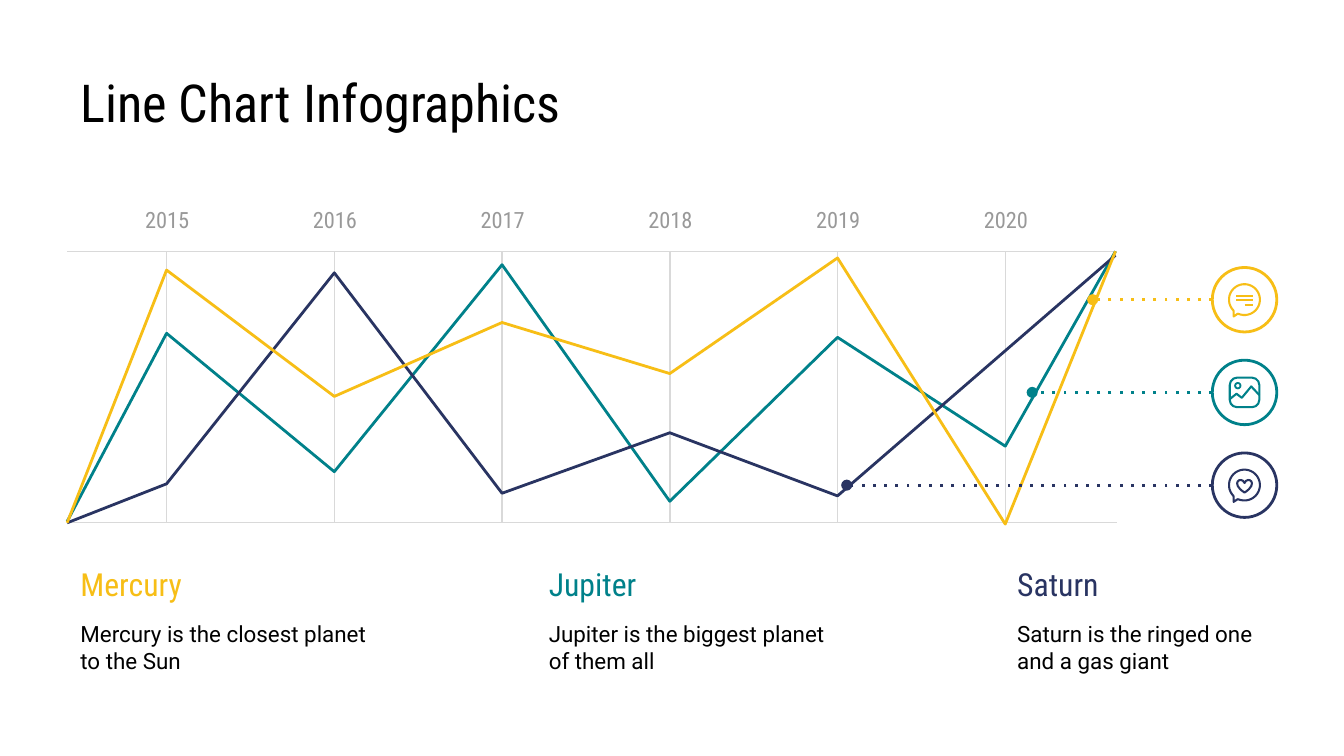
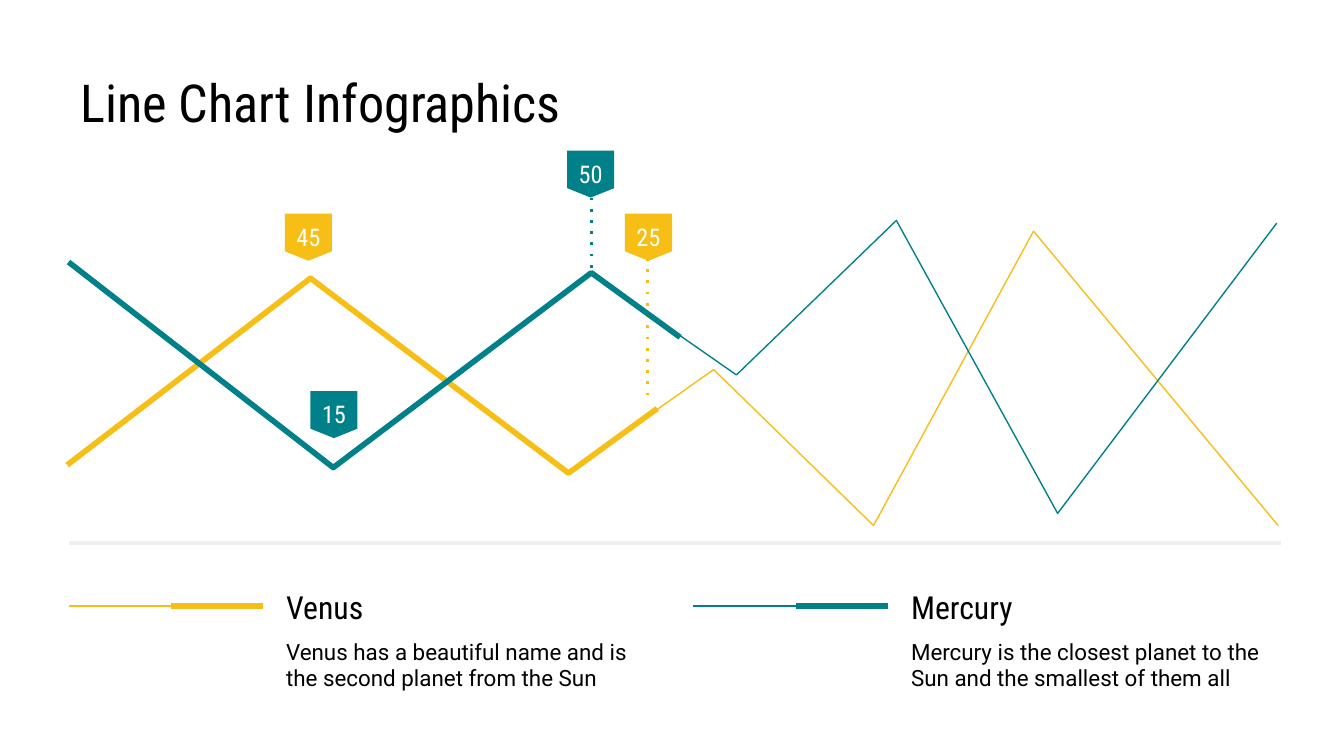
from collections import namedtuple
from math import cos, radians, sin

from lxml.etree import SubElement
from pptx import Presentation
from pptx.dml.color import RGBColor
from pptx.enum.shapes import MSO_CONNECTOR as Link, MSO_SHAPE as Shape
from pptx.enum.text import MSO_ANCHOR as Anchor, PP_ALIGN as Align
from pptx.oxml.ns import qn
from pptx.util import Emu, Inches, Pt

COLUMNS, ROWS = 100, 56.25
CELL = Inches(0.1)
COLORS = {
    "yellow": "F7BE16", "teal": "00818A", "navy": "293462", "black": "000000",
    "white": "FFFFFF", "label": "999999", "grid": "D9D9D9", "base": "EFEFEF",
}
HEADING, BODY = "Roboto Condensed", "Roboto"
TITLE = "Line Chart Infographics"

Box = namedtuple("Box", "left top width height")

YEARS = ("2015", "2016", "2017", "2018", "2019", "2020")
FIRST_YEAR, YEAR_STEP = 7.4, 12.48
LEVELS = {
    "teal": (20.1, 6.1, 16.4, 1, 18.6, 6.4, 14.5, 0),
    "navy": (20.2, 17.3, 1.6, 18, 13.5, 18.2, 7.4, 0.3),
    "yellow": (20.2, 1.4, 10.8, 5.3, 9.1, 0.5, 20.3, 0),
}
CALLOUTS = (("yellow", "chat", 81.3), ("teal", "photo", 76.8), ("navy", "love", 63))
PLANETS = (
    ("Mercury", "Mercury is the closest planet to the Sun", "yellow", 24),
    ("Jupiter", "Jupiter is the biggest planet of them all", "teal", 24),
    ("Saturn", "Saturn is the ringed one and a gas giant", "navy", 20.3),
)
TRENDS = (
    {
        "color": "yellow",
        "thin": ((0, 18.1), (18.1, 4.2), (37.2, 18.8), (48.1, 11.1),
                 (60, 22.7), (71.9, 0.8), (90.1, 22.7)),
        "bold": ((0, 18.2), (18.1, 4.3), (37.3, 18.8), (43.9, 14)),
        "badges": (("45", 16.2, -0.5), ("25", 41.5, -0.5)),
        "drop": (43.2, 2.8, 13.3),
        "name": "Venus",
        "note": "Venus has a beautiful name and is the second planet from the Sun",
    },
    {
        "color": "teal",
        "thin": ((1.7, 4.5), (19.8, 18.5), (38.9, 3.9), (49.8, 11.5),
                 (61.7, 0), (73.7, 21.8), (90, 0.2)),
        "bold": ((0.1, 3.1), (19.8, 18.4), (39, 3.9), (45.6, 8.7)),
        "badges": (("15", 18.1, 12.7), ("50", 37.2, -5.2)),
        "drop": (39, -1.7, 3.9),
        "name": "Mercury",
        "note": "Mercury is the closest planet to the Sun and the smallest of them all",
    },
)


def cells(*values):
    return [Emu(round(value * CELL)) for value in values]


def rgb(color):
    return RGBColor.from_string(COLORS[color])


def add_text(page, box, words, size, color, font=HEADING, align=Align.LEFT, anchor=Anchor.MIDDLE):
    frame = page.shapes.add_textbox(*cells(*box)).text_frame
    frame.word_wrap = True
    frame.vertical_anchor = anchor
    frame.margin_left = frame.margin_right = frame.margin_top = frame.margin_bottom = CELL
    para = frame.paragraphs[0]
    para.alignment = align
    span = para.add_run()
    span.text = words
    span.font.name = font
    span.font.size = Pt(size)
    span.font.color.rgb = rgb(color)


def add_line(page, start, end, color, width, dotted=False, dot_end=False):
    line = page.shapes.add_connector(Link.STRAIGHT, *cells(*start, *end))
    line.line.color.rgb = rgb(color)
    line.line.width = Pt(width)
    stroke = line.line._get_or_add_ln()
    if dotted:
        SubElement(stroke, qn("a:prstDash"), val="dot")
    if dot_end:
        SubElement(stroke, qn("a:tailEnd"), type="oval")
    SubElement(line._element.spPr, qn("a:effectLst"))


def style_outline(shape, color, width):
    shape.shadow.inherit = False
    shape.fill.background()
    shape.line.color.rgb = rgb(color)
    shape.line.width = Pt(width)


def add_outline(page, kind, box, color, width):
    shape = page.shapes.add_shape(kind, *cells(*box))
    style_outline(shape, color, width)
    return shape


def add_path(page, origin, points, color, width, close=False):
    spots = [cells(origin[0] + x, origin[1] + y) for x, y in points]
    builder = page.shapes.build_freeform(*spots[0], scale=1.0)
    builder.add_line_segments(spots[1:], close=close)
    style_outline(builder.convert_to_shape(), color, width)


def draw_title(page):
    add_text(page, Box(5, 4.2, 90, 6.3), TITLE, 28, "black", anchor=Anchor.TOP)


def draw_caption(page, box, head, body, name, note, color):
    add_text(page, box._replace(height=head), name, 17, color)
    note_box = box._replace(top=box.top + box.height - body, height=body)
    add_text(page, note_box, note, 12, "black", BODY)


def draw_year_chart(page, box):
    bottom, right = box.top + box.height, box.left + box.width
    years = [FIRST_YEAR + YEAR_STEP * index for index in range(len(YEARS))]
    for offset in years:
        add_line(page, (box.left + offset, box.top), (box.left + offset, bottom), "grid", 0.75)
    for y in (bottom, box.top):
        add_line(page, (box.left, y), (right, y), "grid", 0.75)
    for year, offset in zip(YEARS, years):
        label = Box(box.left + offset - 3.1, box.top - 3.3, 6.3, 1.9)
        add_text(page, label, year, 12, "label", align=Align.CENTER)
    stops = [0, *years, box.width - 0.1]
    for color, levels in LEVELS.items():
        add_path(page, box[:2], zip(stops, levels), color, 1.5)


def draw_bubble(page, center, color):
    radius = 1.15
    turns = [radians(angle) for angle in range(135, 475, 10)]
    ring = [(radius * cos(turn), radius * sin(turn)) for turn in turns]
    add_path(page, center, [*ring, (-0.5, 1.05), (-0.8, 1.25)], color, 1.1, close=True)


def draw_icon(page, kind, center, color):
    x, y = center
    if kind == "photo":
        add_outline(page, Shape.ROUNDED_RECTANGLE, Box(x - 1.1, y - 1.1, 2.2, 2.2), color, 1.1
                    ).adjustments[0] = 0.25
        add_outline(page, Shape.OVAL, Box(x - 0.7, y - 0.7, 0.4, 0.4), color, 1)
        hills = ((-1.1, 0.5), (-0.6, 0.1), (-0.2, 0.4), (0.5, -0.45), (1.1, 0.2))
        add_path(page, center, hills, color, 1.1)
        return
    draw_bubble(page, center, color)
    if kind == "love":
        add_outline(page, Shape.HEART, Box(x - 0.55, y - 0.4, 1.1, 0.95), color, 1.1)
    else:
        for start, drop in ((-0.6, -0.3), (-0.6, 0.05), (0, 0.4)):
            add_line(page, (x + start, y + drop), (x + 0.6, y + drop), color, 1.1)


def draw_callouts(page, box):
    size = box.width
    step = (box.height - size) / (len(CALLOUTS) - 1)
    for index, (color, icon, reach) in enumerate(CALLOUTS):
        ring = Box(box.left, box.top + step * index, size, size)
        middle = ring.top + size / 2
        add_outline(page, Shape.OVAL, ring, color, 1.5)
        draw_icon(page, icon, (ring.left + size / 2, middle), color)
        add_line(page, (ring.left, middle), (reach, middle), color, 1.5, True, True)


def draw_badge(page, box, value, color):
    badge = page.shapes.add_shape(Shape.FLOWCHART_OFFPAGE_CONNECTOR, *cells(*box))
    badge.shadow.inherit = False
    badge.fill.solid()
    badge.fill.fore_color.rgb = rgb(color)
    badge.line.fill.background()
    label = Box(box.left - 1.55, box.top, 6.6, 3.4)
    add_text(page, label, value, 13, "white", align=Align.CENTER)


def draw_trends(page, box):
    left, top = box.left, box.top
    bottom = top + box.height
    add_line(page, (left + 0.1, bottom), (left + box.width, bottom), "base", 2.25)
    for trend in TRENDS:
        color = trend["color"]
        add_path(page, (left, top), trend["thin"], color, 0.75)
        add_path(page, (left, top), trend["bold"], color, 3)
        for value, x, y in trend["badges"]:
            draw_badge(page, Box(left + x, top + y, 3.5, 3.5), value, color)
        x, start, end = trend["drop"]
        add_line(page, (left + x, top + start), (left + x, top + end), color, 1.5, True)


def draw_legend(page, box, trend):
    y, end = box.top + 1.6, box.left + 14.5
    add_line(page, (box.left, y), (end, y), trend["color"], 0.75)
    add_line(page, (end - 6.9, y), (end, y), trend["color"], 3)
    caption = box._replace(left=box.left + 15.2, width=box.width - 15.2)
    draw_caption(page, caption, 3.3, 5.3, trend["name"], trend["note"], "black")


def build_years_page(page):
    draw_title(page)
    draw_year_chart(page, Box(5, 18.7, 78.1, 20.2))
    draw_callouts(page, Box(90.2, 19.9, 4.8, 18.6))
    for index, (name, note, color, width) in enumerate(PLANETS):
        box = Box(5 + 34.85 * index, 41.9, width, 8.3)
        draw_caption(page, box, 3.1, 4.1, name, note, color)


def build_trends_page(page):
    draw_title(page)
    draw_trends(page, Box(5, 16.4, 90.3, 24))
    for index, trend in enumerate(TRENDS):
        draw_legend(page, Box(5.1 + 46.5 * index, 43.5, 43.3, 8.6), trend)


def main():
    deck = Presentation()
    deck.slide_width, deck.slide_height = cells(COLUMNS, ROWS)
    for build in (build_years_page, build_trends_page):
        build(deck.slides.add_slide(deck.slide_layouts[6]))
    deck.save("out.pptx")


if __name__ == "__main__":
    main()
